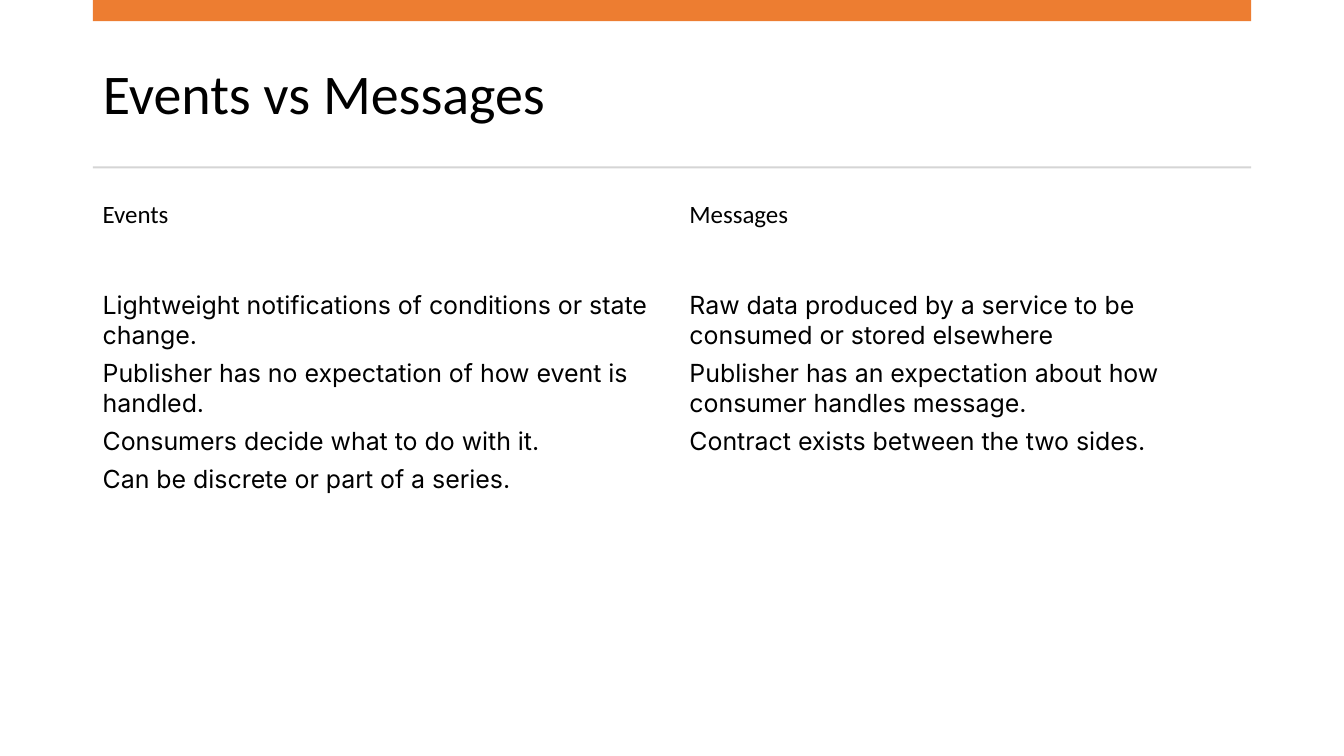
from dataclasses import dataclass

from pptx import Presentation, util as u
from pptx.dml.color import RGBColor
from pptx.enum import shapes, text

PX = u.Inches(1) // 100


@dataclass(frozen=True)
class Theme:
    """Colours, fonts and type sizes of the deck."""
    ink: str = "000000"
    accent: str = "ED7D31"
    rule: str = "D5D5D5"
    heading_font: str = "Calibri"
    body_font: str = "Inter"
    title_size: float = 40
    body_size: float = 17.8


def write(para, words, *, font, size, color, after=0, spacing=1.0):
    """Put formatted words into a paragraph."""
    para.alignment = text.PP_ALIGN.LEFT
    para.space_before = u.Pt(0)
    para.space_after = u.Pt(after)
    para.line_spacing = spacing
    span = para.add_run()
    span.text = words
    span.font.name = font
    span.font.size = u.Pt(size)
    span.font.color.rgb = RGBColor.from_string(color)


class Page:
    """A titled slide together with its theme."""

    def __init__(self, deck, theme):
        self.theme = theme
        self.slide = deck.slides.add_slide(deck.slide_layouts[5])

    def title(self, words, left, top, width, height):
        """Place and format the title placeholder."""
        box = self.slide.shapes.title
        box.left, box.top, box.width, box.height = (
            n * PX for n in (left, top, width, height))
        frame = box.text_frame
        frame.auto_size = text.MSO_AUTO_SIZE.NONE
        frame.vertical_anchor = text.MSO_ANCHOR.MIDDLE
        write(frame.paragraphs[0], words, font=self.theme.heading_font,
              size=self.theme.title_size, color=self.theme.ink, spacing=0.9)

    def bar(self, color, left, top, width, height):
        """Draw a plain filled rectangle."""
        bar = self.slide.shapes.add_shape(
            shapes.MSO_SHAPE.RECTANGLE,
            *(n * PX for n in (left, top, width, height)))
        bar.shadow.inherit = False
        bar.fill.solid()
        bar.fill.fore_color.rgb = RGBColor.from_string(color)
        bar.line.fill.background()

    def text_box(self, lines, font, left, top, width, height):
        """Add a wrapped text box with one paragraph per line."""
        box = self.slide.shapes.add_textbox(
            *(n * PX for n in (left, top, width, height)))
        frame = box.text_frame
        frame.word_wrap = True
        for index, words in enumerate(lines):
            para = frame.add_paragraph() if index else frame.paragraphs[0]
            write(para, words, font=font, size=self.theme.body_size,
                  color=self.theme.ink, after=6)

    def column(self, heading, points, left, width):
        """Add a heading with its points below."""
        self.text_box([heading], self.theme.heading_font, left, 192, width, 90)
        self.text_box(points, self.theme.body_font, left, 282, width, 403)


def main():
    """Build and save the deck."""
    deck = Presentation()
    deck.slide_width, deck.slide_height = 1333 * PX, 750 * PX
    theme = Theme()
    page = Page(deck, theme)
    left, width = 92, 1149
    page.title("Events vs Messages", left, 37, width, 118)
    page.bar(theme.accent, left, 0, width, 21)
    page.bar(theme.rule, left, 165, width, 2)
    page.column("Events", [
        "Lightweight notifications of conditions or state change.",
        "Publisher has no expectation of how event is handled.",
        "Consumers decide what to do with it.",
        "Can be discrete or part of a series.",
    ], left, 564)
    page.column("Messages", [
        "Raw data produced by a service to be consumed or stored elsewhere",
        "Publisher has an expectation about how consumer handles message.",
        "Contract exists between the two sides.",
    ], 674, 566)
    deck.save("out.pptx")


if __name__ == "__main__":
    main()
